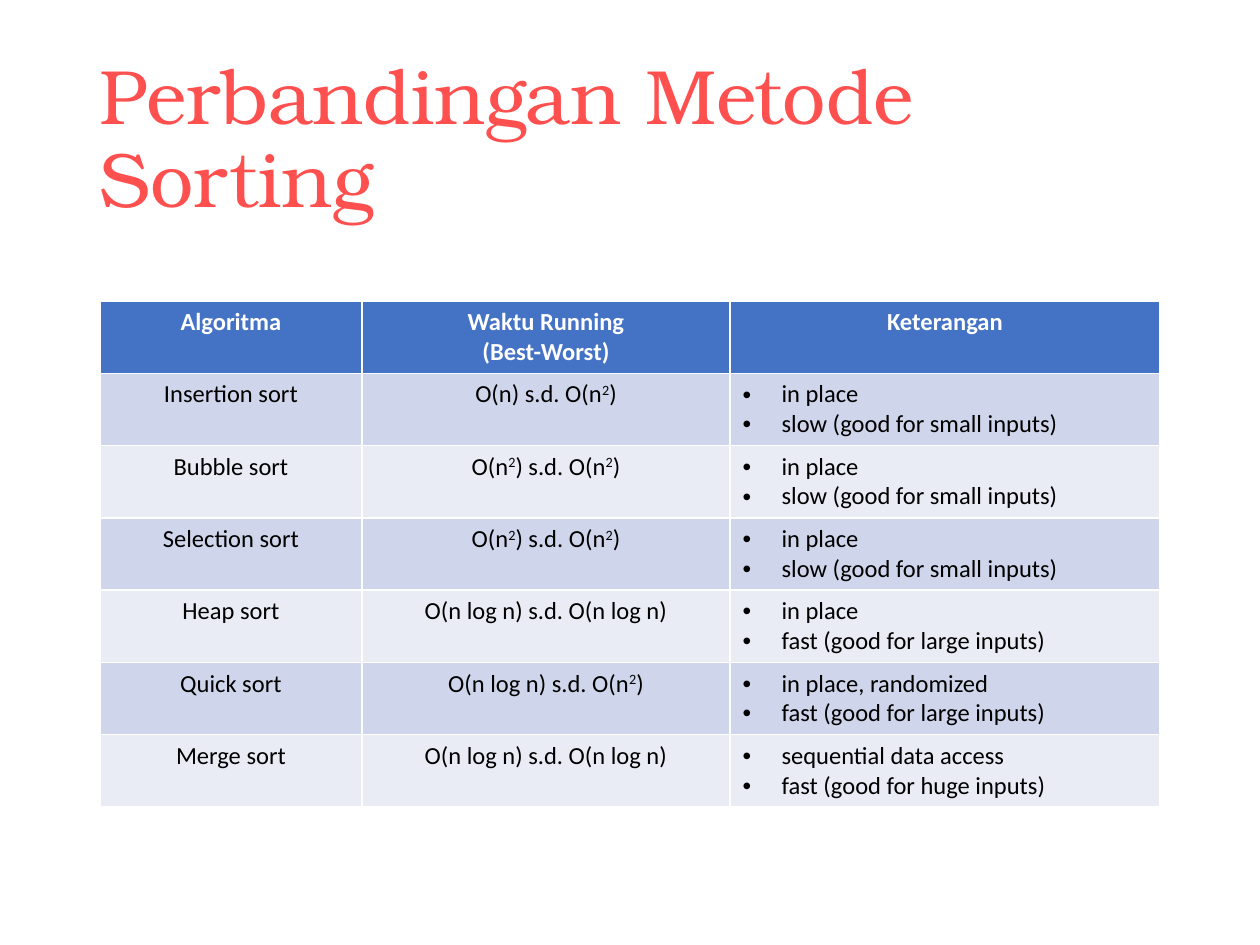
"""Build a slide with a table comparing sorting methods."""
from pptx import Presentation, util as u
from pptx.dml.color import RGBColor
from pptx.enum import text
from pptx.oxml.ns import qn


def px(length):
    return u.Emu(round(length * 914400 / 126))


def style(font, name, size, color, bold=False):
    font.name, font.size, font.bold = name, u.Pt(size), bold
    font.color.rgb = RGBColor.from_string(color)


presentation = Presentation()
presentation.slide_width, presentation.slide_height = px(1260), px(945)
slide = presentation.slides.add_slide(presentation.slide_layouts[5])

title = slide.shapes.title
title.left, title.top, title.width, title.height = px(87), px(50), px(1086), px(183)
frame = title.text_frame
frame.text = "Perbandingan Metode Sorting"
frame.word_wrap = True
frame.auto_size = text.MSO_AUTO_SIZE.NONE
frame.vertical_anchor = text.MSO_ANCHOR.MIDDLE
paragraph = frame.paragraphs[0]
paragraph.alignment = text.PP_ALIGN.LEFT
paragraph.line_spacing = 0.9
style(paragraph.font, "TeX Gyre Bonum", 44, "FF5050")

SMALL = "slow (good for small inputs)"
LARGE = "fast (good for large inputs)"
rows = [
    ("Algoritma", "Waktu Running\n(Best-Worst)", "Keterangan"),
    ("Insertion sort", "O(n) s.d. O(n|2|)", f"in place\n{SMALL}"),
    ("Bubble sort", "O(n|2|) s.d. O(n|2|)", f"in place\n{SMALL}"),
    ("Selection sort", "O(n|2|) s.d. O(n|2|)", f"in place\n{SMALL}"),
    ("Heap sort", "O(n log n) s.d. O(n log n)", f"in place\n{LARGE}"),
    ("Quick sort", "O(n log n) s.d. O(n|2|)", f"in place, randomized\n{LARGE}"),
    ("Merge sort", "O(n log n) s.d. O(n log n)", "sequential data access\nfast (good for huge inputs)"),
]
widths = [262, 368, 430]
row_height = 72
table = slide.shapes.add_table(
    len(rows), len(widths), px(100), px(301), px(sum(widths)), px(row_height * len(rows))
).table
for column, width in zip(table.columns, widths):
    column.width = px(width)

for row_index, row in enumerate(rows):
    header = row_index == 0
    fill = "4472C4" if header else ("E9EBF5", "CFD5EA")[row_index % 2]
    for column_index, content in enumerate(row):
        cell = table.cell(row_index, column_index)
        cell.fill.solid()
        cell.fill.fore_color.rgb = RGBColor.from_string(fill)
        bulleted = column_index == 2 and not header
        for line_index, line in enumerate(content.split("\n")):
            frame = cell.text_frame
            paragraph = frame.add_paragraph() if line_index else frame.paragraphs[0]
            style(paragraph.font, "Calibri", 14, "FFFFFF" if header else "000000", header)
            paragraph.alignment = text.PP_ALIGN.LEFT if bulleted else text.PP_ALIGN.CENTER
            for piece_index, piece in enumerate(line.split("|")):
                run = paragraph.add_run()
                run.text = piece
                style(run.font, "Calibri", 14, "FFFFFF" if header else "000000", header)
                if piece_index % 2:
                    run.font._element.set("baseline", "30000")
            if bulleted:
                properties = paragraph._p.get_or_add_pPr()
                properties.set("marL", str(px(39)))
                properties.set("indent", str(-px(39)))
                bullet_font = properties.makeelement(qn("a:buFont"), {"typeface": "Arial"})
                bullet = properties.makeelement(qn("a:buChar"), {"char": "•"})
                properties.find(qn("a:defRPr")).addprevious(bullet_font)
                bullet_font.addnext(bullet)

presentation.save("out.pptx")
